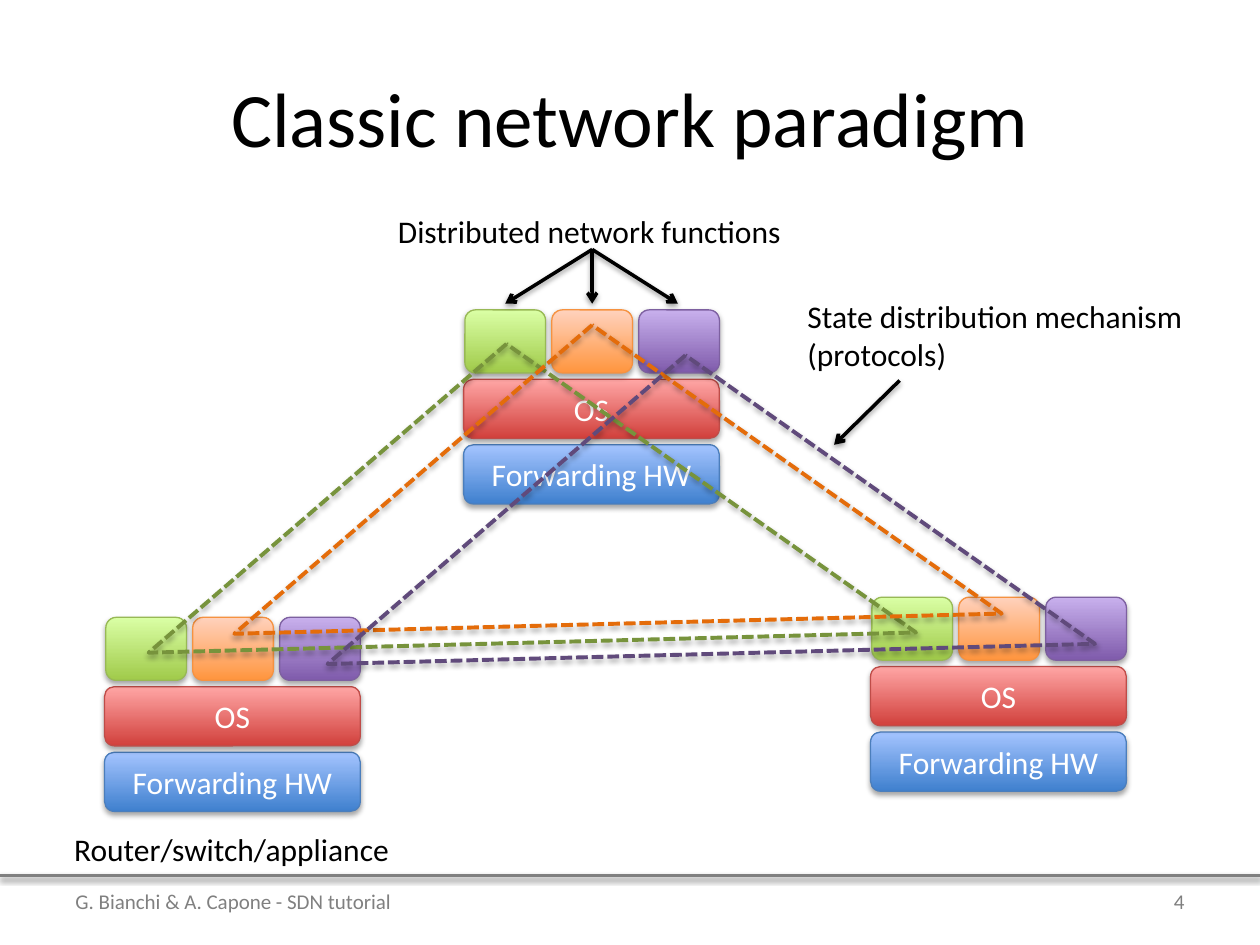
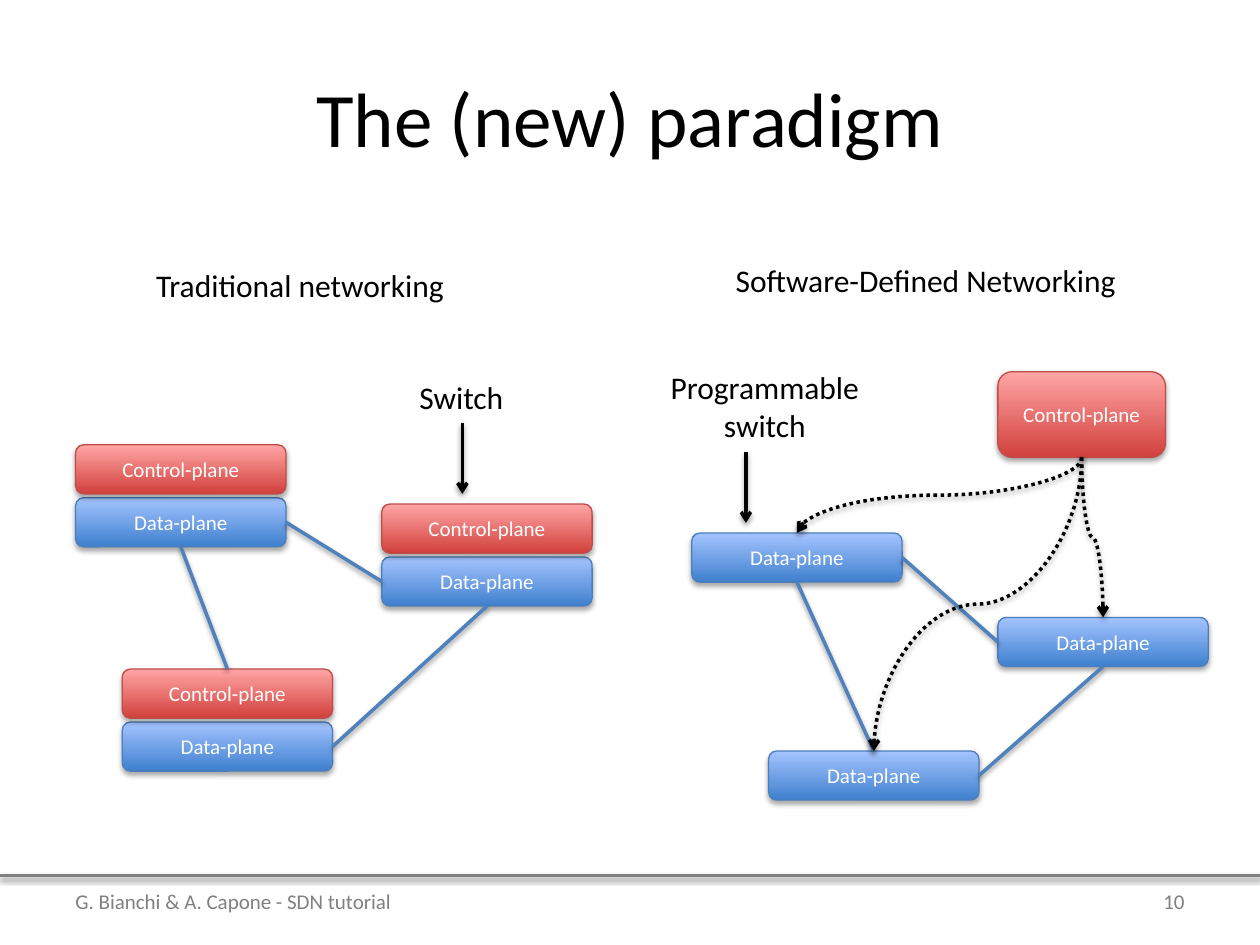
from lxml.etree import SubElement
from pptx import Presentation
from pptx.dml.color import RGBColor
from pptx.enum.dml import MSO_LINE
from pptx.enum.shapes import MSO_CONNECTOR, MSO_SHAPE
from pptx.enum.text import MSO_ANCHOR, MSO_AUTO_SIZE, PP_ALIGN
from pptx.oxml.ns import qn
from pptx.util import Inches, Pt

BLACK = RGBColor(0x00, 0x00, 0x00)
WHITE = RGBColor(0xFF, 0xFF, 0xFF)
GREY = RGBColor(0x80, 0x80, 0x80)
NUMBER_GREY = RGBColor(0x7F, 0x7F, 0x7F)
LINK_BLUE = RGBColor(0x4F, 0x81, 0xBD)
GREEN_LINK = RGBColor(0x77, 0x93, 0x3C)
ORANGE_LINK = RGBColor(0xE4, 0x6C, 0x0A)
PURPLE_LINK = RGBColor(0x60, 0x4A, 0x7B)

BLUE = (RGBColor(0x3F, 0x80, 0xCE), RGBColor(0xA4, 0xC4, 0xFF), RGBColor(0x4B, 0x7E, 0xBC))
RED = (RGBColor(0xD1, 0x40, 0x3C), RGBColor(0xFF, 0xA6, 0xA5), RGBColor(0xBF, 0x4C, 0x48))
GREEN = (RGBColor(0xA0, 0xCA, 0x4A), RGBColor(0xDA, 0xFF, 0xA5), RGBColor(0x98, 0xB9, 0x55))
ORANGE = (RGBColor(0xFF, 0x95, 0x3E), RGBColor(0xFF, 0xD2, 0xBD), RGBColor(0xF6, 0x92, 0x40))
PURPLE = (RGBColor(0x7F, 0x5B, 0xAB), RGBColor(0xC8, 0xB0, 0xED), RGBColor(0x7D, 0x60, 0xA0))

TOP, LEFT, BOTTOM, RIGHT = range(4)
FONT = "Calibri"
FOOTER = "G. Bianchi & A. Capone - SDN tutorial"


class Deck:
    def __init__(self):
        self.prs = Presentation()
        self.prs.slide_width = Inches(10)
        self.prs.slide_height = Inches(7.5)
        self.s = None

    def slide(self, title, number):
        self.s = self.prs.slides.add_slide(self.prs.slide_layouts[6])
        self.line((0, 6.95), (10, 6.95), GREY)
        self.text(title, 0.5, 0.3, 9, 1.25, 44, align=PP_ALIGN.CENTER, anchor=MSO_ANCHOR.MIDDLE)
        self.text(FOOTER, 0.5, 6.95, 6.08, 0.4, 12, GREY, anchor=MSO_ANCHOR.MIDDLE)
        self.text(str(number), 7.17, 6.95, 2.33, 0.4, 12, NUMBER_GREY,
                  PP_ALIGN.RIGHT, MSO_ANCHOR.MIDDLE)

    def add_runs(self, tf, text, size, color, align):
        p = tf.paragraphs[0]
        p.alignment = align
        for i, part in enumerate(text.split("\n")):
            if i:
                p.add_line_break()
            r = p.add_run()
            r.text = part
            r.font.name = FONT
            r.font.size = Pt(size)
            r.font.color.rgb = color

    def text(self, text, x, y, w, h, size=18, color=BLACK, align=PP_ALIGN.LEFT,
             anchor=MSO_ANCHOR.TOP, wrap=True):
        tb = self.s.shapes.add_textbox(Inches(x), Inches(y), Inches(w), Inches(h))
        tf = tb.text_frame
        tf.word_wrap = wrap
        tf.vertical_anchor = anchor
        if not wrap:
            tf.auto_size = MSO_AUTO_SIZE.SHAPE_TO_FIT_TEXT
        self.add_runs(tf, text, size, color, align)

    def label(self, text, x, y, w, h=0.4, align=PP_ALIGN.LEFT):
        self.text(text, x, y, w, h, align=align, wrap=False)

    def shadow(self, shape, alpha=35, dist=1.8):
        effects = SubElement(shape._element.spPr, qn("a:effectLst"))
        outer = SubElement(effects, qn("a:outerShdw"), blurRad=str(Pt(3.1)), dist=str(Pt(dist)),
                           dir="5400000", rotWithShape="0")
        color = SubElement(outer, qn("a:srgbClr"), val=str(BLACK))
        SubElement(color, qn("a:alpha"), val=str(alpha * 1000))

    def group(self):
        return self.s.shapes.add_group_shape()

    def box(self, colors, x, y, w, h, text="", size=12, parent=None):
        sp = (parent or self.s).shapes.add_shape(
            MSO_SHAPE.ROUNDED_RECTANGLE, Inches(x), Inches(y), Inches(w), Inches(h))
        dark, light, edge = colors
        sp.fill.gradient()
        sp.fill.gradient_angle = 90
        for stop, color in zip(sp.fill.gradient_stops, (dark, light)):
            stop.color.rgb = color
        sp.line.color.rgb = edge
        sp.line.width = Pt(0.75)
        self.shadow(sp)
        if text:
            sp.text_frame.vertical_anchor = MSO_ANCHOR.MIDDLE
            self.add_runs(sp.text_frame, text, size, WHITE, PP_ALIGN.CENTER)
        return sp

    def style_connector(self, c, color, arrow, dash=None):
        c.line.color.rgb = color
        c.line.width = Pt(2)
        if dash:
            c.line.dash_style = dash
        if arrow:
            SubElement(c._element.spPr.find(qn("a:ln")), qn("a:tailEnd"), type="arrow")
        self.shadow(c, 38, 1.6)

    def line(self, start, end, color=BLACK, arrow=False):
        c = self.s.shapes.add_connector(MSO_CONNECTOR.STRAIGHT, *map(Inches, start + end))
        self.style_connector(c, color, arrow)

    def link(self, a, a_side, b, b_side):
        c = self.s.shapes.add_connector(MSO_CONNECTOR.STRAIGHT, 0, 0, 0, 0)
        c.begin_connect(a, a_side)
        c.end_connect(b, b_side)
        self.style_connector(c, LINK_BLUE, False)

    def curve_down(self, a, b):
        c = self.s.shapes.add_connector(MSO_CONNECTOR.CURVE, 0, 0, 0, 0)
        c.begin_connect(a, BOTTOM)
        c.end_connect(b, TOP)
        x1, y1 = a.left + a.width // 2, a.top + a.height
        x2, y2 = b.left + b.width // 2, b.top
        c.width, c.height = y2 - y1, abs(x2 - x1)
        c.left = (x1 + x2 - c.width) // 2
        c.top = (y1 + y2 - c.height) // 2
        xfrm = c._element.spPr.find(qn("a:xfrm"))
        for flip in ("flipH", "flipV"):
            xfrm.attrib.pop(flip, None)
        xfrm.set("rot", "16200000" if x2 > x1 else "5400000")
        if x2 > x1:
            xfrm.set("flipH", "1")
        self.style_connector(c, BLACK, True, MSO_LINE.ROUND_DOT)

    def triangle(self, x, y, color):
        points = [(x, y), (x - 2.84, y + 2.45), (x + 3.25, y + 2.29)]
        corners = [(Inches(px), Inches(py)) for px, py in points]
        builder = self.s.shapes.build_freeform(*corners[0])
        builder.add_line_segments(corners[1:], close=True)
        sp = builder.convert_to_shape()
        sp.fill.background()
        sp.line.color.rgb = color
        sp.line.width = Pt(2.25)
        sp.line.dash_style = MSO_LINE.SQUARE_DOT
        self.shadow(sp)

    def router(self, x, y):
        g = self.group()
        self.box(BLUE, x, y + 1.07, 2.03, 0.47, "Forwarding HW", 18, g)
        self.box(RED, x, y + 0.55, 2.03, 0.47, "OS", 18, g)
        for i, colors in enumerate((GREEN, ORANGE, PURPLE)):
            self.box(colors, x + 0.01 + 0.69 * i, y, 0.64, 0.5, parent=g)

    def data_plane(self, x, y, parent=None):
        return self.box(BLUE, x, y, 1.67, 0.39, "Data-plane", parent=parent)

    def switch(self, x, y):
        g = self.group()
        data = self.data_plane(x, y + 0.42, g)
        control = self.box(RED, x, y, 1.67, 0.39, "Control-plane", parent=g)
        return control, data

    def ring(self, first, right, low, low_top):
        self.link(first, RIGHT, right, LEFT)
        self.link(right, BOTTOM, low, RIGHT)
        self.link(low_top, TOP, first, BOTTOM)


def classic_network(d):
    d.slide("Classic network paradigm", 4)
    for x, y in ((3.68, 2.46), (6.91, 4.74), (0.83, 4.9)):
        d.router(x, y)
    for x in (4.01, 4.7, 5.38):
        d.line((4.7, 1.98), (x, 2.41), arrow=True)
    for x, y, color in ((4.02, 2.73, GREEN_LINK), (4.7, 2.58, ORANGE_LINK),
                        (5.44, 2.82, PURPLE_LINK)):
        d.triangle(x, y, color)
    d.line((7.14, 3.02), (6.62, 3.53), arrow=True)
    d.label("Distributed network functions", 3.06, 1.63, 3.28)
    d.label("State distribution mechanism\n(protocols)", 6.31, 2.31, 3.22, 0.71)
    d.label("Router/switch/appliance", 0.49, 6.54, 2.75)


def new_paradigm(d):
    d.slide("The (new) paradigm", 10)
    d.label("Traditional networking", 1.14, 2.06, 2.54)
    _, first = d.switch(0.6, 3.53)
    low_control, low = d.switch(0.97, 5.31)
    _, right = d.switch(3.03, 4)
    d.ring(first, right, low, low_control)
    d.label("Switch", 3.23, 2.95, 0.88)
    d.line((3.67, 3.36), (3.67, 3.92), arrow=True)

    d.label("Software-Defined Networking", 5.74, 2.02, 3.26)
    first = d.data_plane(5.49, 4.23)
    low = d.data_plane(6.1, 5.96)
    right = d.data_plane(7.92, 4.9)
    control = d.box(RED, 7.92, 2.95, 1.33, 0.68, "Control-plane")
    d.ring(first, right, low, low)
    for plane in (first, right, low):
        d.curve_down(control, plane)
    d.label("Programmable\nswitch", 5.21, 2.87, 1.72, 0.71, PP_ALIGN.CENTER)
    d.line((5.92, 3.59), (5.92, 4.15), arrow=True)


def main():
    d = Deck()
    classic_network(d)
    new_paradigm(d)
    d.prs.save("out.pptx")


if __name__ == "__main__":
    main()
